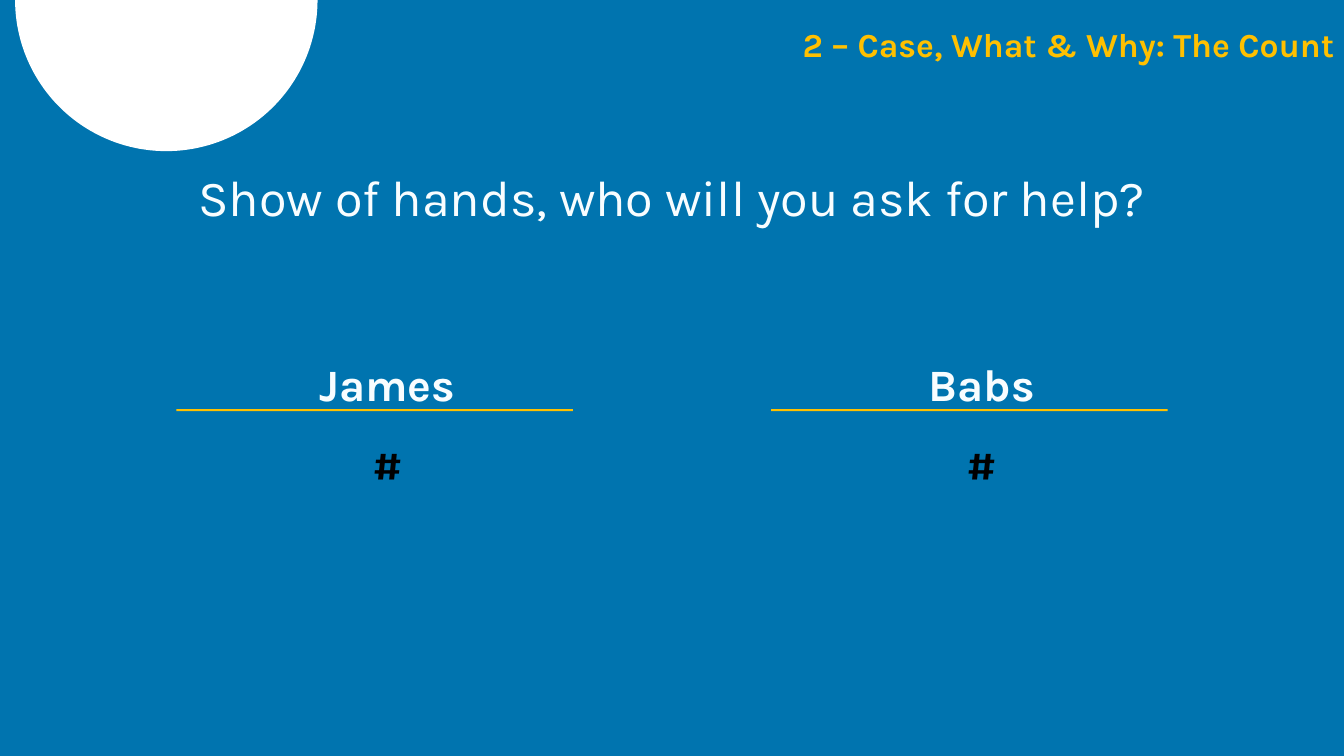
from math import cos, pi, sin

from pptx import Presentation
from pptx.dml.color import RGBColor
from pptx.enum.shapes import MSO_SHAPE
from pptx.enum.text import MSO_ANCHOR, MSO_AUTO_SIZE, PP_ALIGN
from pptx.util import Inches, Pt

RECTANGLE = MSO_SHAPE.RECTANGLE
MIDDLE = MSO_ANCHOR.MIDDLE
NO_AUTOFIT = MSO_AUTO_SIZE.NONE
CENTER, RIGHT = PP_ALIGN.CENTER, PP_ALIGN.RIGHT

FONT = "Karla"
COLORS = {
    "background": "0074AF",
    "disc": "FFFFFF",
    "accent": "FFC000",
    "light": "F8FDFF",
    "count": "000000",
}
SLIDE_W, SLIDE_H = 13.33, 7.5
MARGIN = 1.75
CONTENT_W = SLIDE_W - 2 * MARGIN
COLUMN_W = 0.4 * CONTENT_W
CANDIDATES = ["James", "Babs"]


def color(name):
    return RGBColor.from_string(COLORS[name])


def fill_plain(shape, name):
    shape.shadow.inherit = False
    shape.fill.solid()
    shape.fill.fore_color.rgb = color(name)
    shape.line.fill.background()


def prepare_frame(holder):
    frame = holder.text_frame
    frame.word_wrap = True
    frame.auto_size = NO_AUTOFIT
    frame.vertical_anchor = MIDDLE
    return frame


def format_paragraph(paragraph, text, size, name, bold, align, spacing):
    paragraph.text = text
    paragraph.alignment = align
    paragraph.line_spacing = spacing
    paragraph.font.name = FONT
    paragraph.font.size = Pt(size)
    paragraph.font.bold = bold
    paragraph.font.color.rgb = color(name)


def add_disc(slide, center_x, radius, steps=90):
    rim = [
        (Inches(center_x + radius * cos(pi * i / steps)),
         Inches(radius * sin(pi * i / steps)))
        for i in range(steps + 1)
    ]
    builder = slide.shapes.build_freeform(*rim[0])
    builder.add_line_segments(rim[1:], close=True)
    fill_plain(builder.convert_to_shape(), "disc")


def add_section_label(slide, left, top, width, height):
    label = slide.shapes.add_textbox(*map(Inches, (left, top, width, height)))
    paragraph = prepare_frame(label).paragraphs[0]
    format_paragraph(paragraph, "2 – Case, What & Why: The Count",
                     24, "accent", True, RIGHT, 0.9)
    paragraph.space_before = Pt(10)


def place_question(slide, left, top, width, height):
    question = slide.shapes.title
    question.left, question.top = Inches(left), Inches(top)
    question.width, question.height = Inches(width), Inches(height)
    format_paragraph(prepare_frame(question).paragraphs[0],
                     "Show of hands, who will you ask for help?",
                     36, "light", False, CENTER, 0.9)


def add_candidate(slide, name, left, top, width, height):
    tally = slide.shapes.add_textbox(*map(Inches, (left, top, width, height)))
    frame = prepare_frame(tally)
    rows = [(frame.paragraphs[0], name, "light"),
            (frame.add_paragraph(), "#", "count")]
    for paragraph, text, shade in rows:
        format_paragraph(paragraph, text, 32, shade, True, CENTER, 1.5)
        properties = paragraph._p.get_or_add_pPr()
        properties.set("marL", str(Inches(0.12)))
        properties.set("indent", str(Inches(0.13)))
    rule = slide.shapes.add_shape(
        RECTANGLE, Inches(left), Inches(top + height / 2 - 0.01),
        Inches(width), Inches(0.02))
    fill_plain(rule, "accent")


def main():
    deck = Presentation()
    deck.slide_width, deck.slide_height = Inches(SLIDE_W), Inches(SLIDE_H)
    slide = deck.slides.add_slide(deck.slide_layouts[5])
    slide.background.fill.solid()
    slide.background.fill.fore_color.rgb = color("background")

    add_disc(slide, 1.65, 1.5)
    add_section_label(slide, SLIDE_W / 2, 0, SLIDE_W / 2, 0.92)
    place_question(slide, MARGIN, 1.66, CONTENT_W, 0.65)
    for column, name in enumerate(CANDIDATES):
        left = MARGIN + column * (CONTENT_W - COLUMN_W)
        add_candidate(slide, name, left, 3.26, COLUMN_W, 1.62)
    deck.save("out.pptx")


if __name__ == "__main__":
    main()
